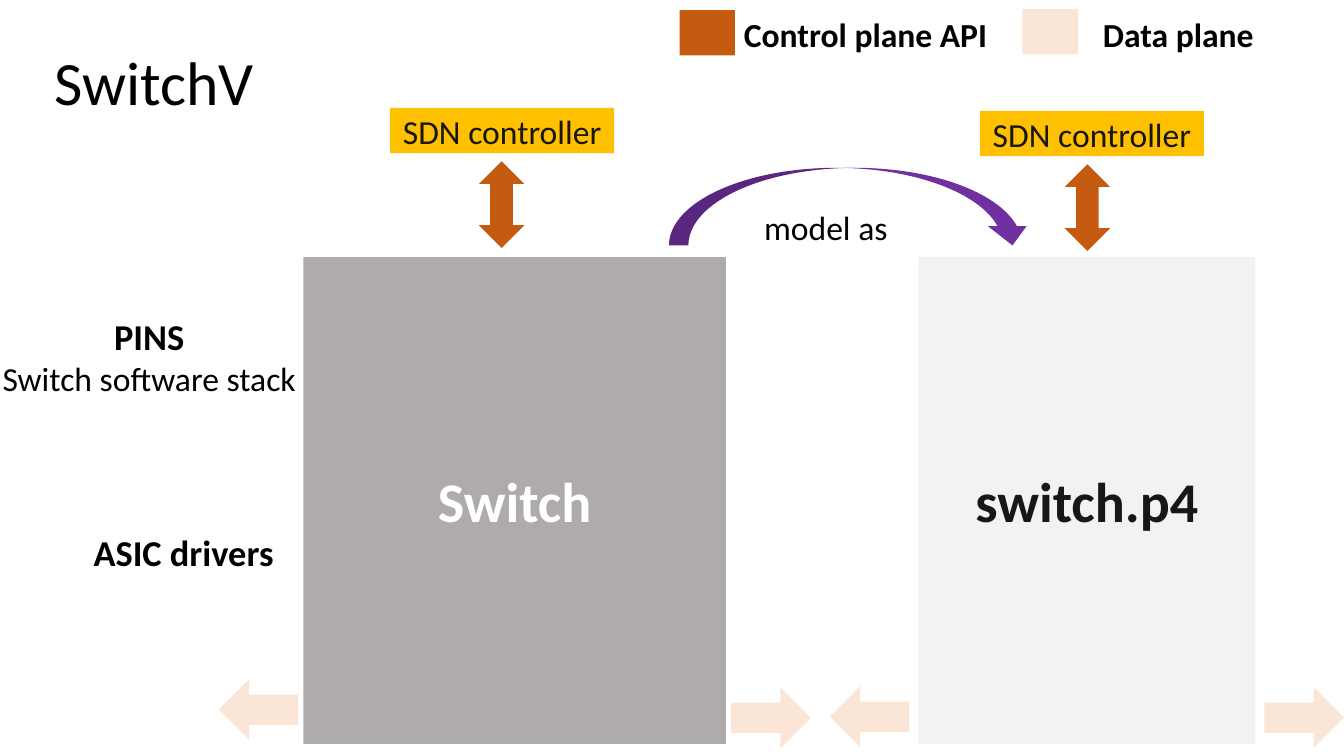
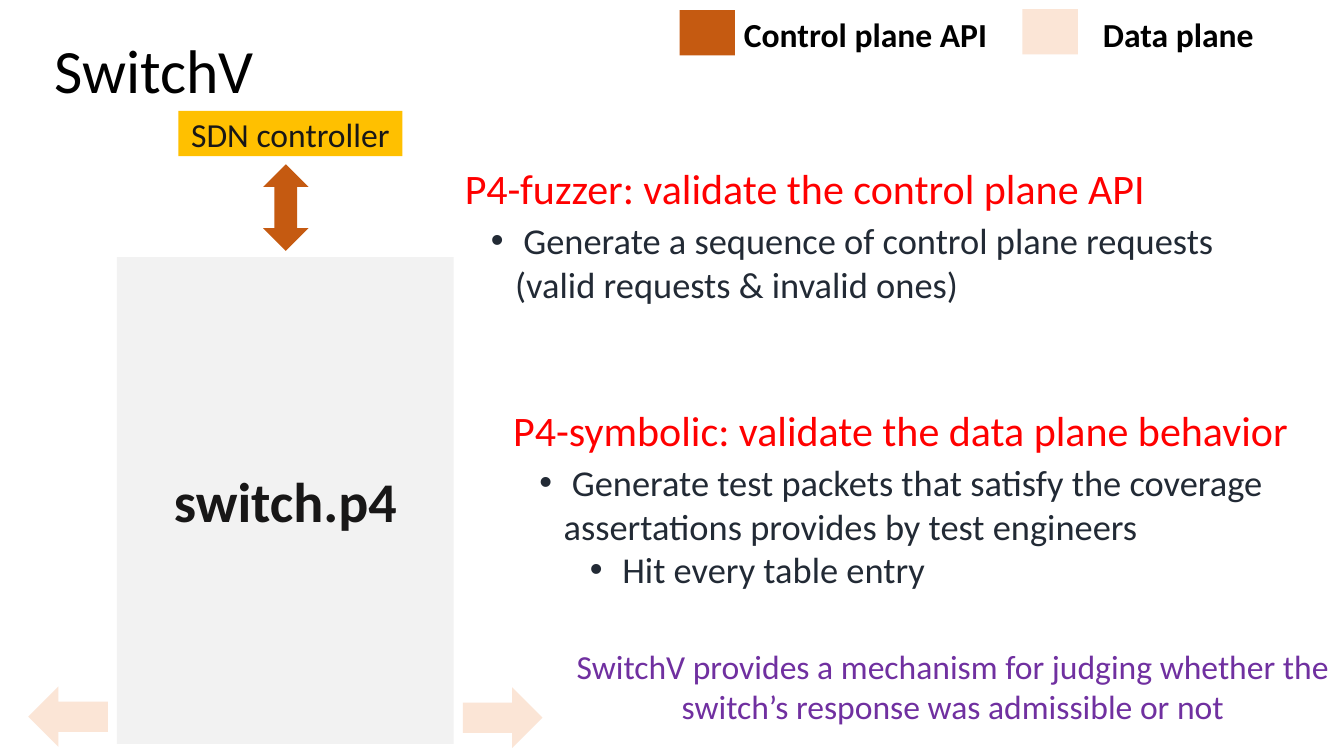
from lxml import etree
from pptx import Presentation
from pptx.dml.color import RGBColor
from pptx.enum.shapes import MSO_SHAPE
from pptx.enum.text import MSO_ANCHOR, MSO_AUTO_SIZE, PP_ALIGN
from pptx.oxml.ns import qn
from pptx.util import Inches, Pt

RECTANGLE = MSO_SHAPE.RECTANGLE
RIGHT_ARROW = MSO_SHAPE.RIGHT_ARROW
UP_DOWN_ARROW = MSO_SHAPE.UP_DOWN_ARROW
CURVED_LEFT_ARROW = MSO_SHAPE.CURVED_LEFT_ARROW
LEFT = PP_ALIGN.LEFT
CENTER = PP_ALIGN.CENTER
MIDDLE = MSO_ANCHOR.MIDDLE
TOP = MSO_ANCHOR.TOP
NO_AUTO_SIZE = MSO_AUTO_SIZE.NONE

TITLE_ONLY = 5
TWO_CONTENT = 3


def color(value):
    return RGBColor.from_string(value)


class Deck:
    FONT = "Calibri"
    BLACK = "000000"
    INK = "181717"
    WHITE = "FFFFFF"
    SWITCH_GRAY = "AFABAB"
    MODEL_GRAY = "F2F2F2"
    CONTROL = "C55A11"
    DATA = "FBE5D6"
    CONTROLLER = "FFC000"
    PURPLE = "7030A0"
    RED = "FF0000"
    NAVY = "222A35"

    def __init__(self):
        self.presentation = Presentation()
        self.presentation.slide_width = Inches(13.33)
        self.presentation.slide_height = Inches(7.5)
        self.slide = None

    def place(self, shape, left, top, width, height):
        shape.left, shape.top = Inches(left), Inches(top)
        shape.width, shape.height = Inches(width), Inches(height)

    def style(self, paragraph, size, text_color, bold=False, alignment=LEFT):
        paragraph.alignment = alignment
        font = paragraph.font
        font.name = self.FONT
        font.size = Pt(size)
        font.bold = bold
        font.color.rgb = color(text_color)

    def add_slide(self, layout, title, title_top):
        layouts = self.presentation.slide_layouts
        self.slide = self.presentation.slides.add_slide(layouts[layout])
        shape = self.slide.shapes.title
        self.place(shape, 0.44, title_top, 11.5, 1.45)
        frame = shape.text_frame
        frame.text = title
        frame.vertical_anchor = MIDDLE
        frame.auto_size = NO_AUTO_SIZE
        paragraph = frame.paragraphs[0]
        paragraph.line_spacing = 0.9
        self.style(paragraph, 44, self.BLACK)
        self.legend()

    def shape(self, kind, left, top, width, height, fill, rotation=0):
        shape = self.slide.shapes.add_shape(
            kind, Inches(left), Inches(top), Inches(width), Inches(height))
        shape.shadow.inherit = False
        shape.fill.solid()
        shape.fill.fore_color.rgb = color(fill)
        shape.line.fill.background()
        shape.rotation = rotation
        return shape

    def box(self, left, top, width, height, fill, text, size, text_color, bold=False):
        frame = self.shape(RECTANGLE, left, top, width, height, fill).text_frame
        frame.text = text
        frame.word_wrap = True
        frame.vertical_anchor = MIDDLE
        self.style(frame.paragraphs[0], size, text_color, bold, CENTER)

    def text(self, left, top, width, height, lines, text_color=BLACK, alignment=LEFT):
        shape = self.slide.shapes.add_textbox(
            Inches(left), Inches(top), Inches(width), Inches(height))
        frame = shape.text_frame
        frame.word_wrap = True
        frame.text = "\n".join(line for line, size, bold in lines)
        for paragraph, (line, size, bold) in zip(frame.paragraphs, lines):
            self.style(paragraph, size, text_color, bold, alignment)

    def bullet(self, paragraph, level):
        properties = paragraph._p.get_or_add_pPr()
        properties.set("marL", str(Inches(0.5 * level)))
        properties.set("indent", str(Inches(-0.24 if level else 0)))
        if level:
            etree.SubElement(properties, qn("a:buFont"), typeface="Arial")
            etree.SubElement(properties, qn("a:buChar"), char="•")
        else:
            etree.SubElement(properties, qn("a:buNone"))

    def bullet_list(self, index, left, top, height, heading, items):
        shape = self.slide.placeholders[index]
        self.place(shape, left, top, 8.21, height)
        frame = shape.text_frame
        frame.text = "\n".join([heading, *items])
        frame.vertical_anchor = TOP
        frame.auto_size = NO_AUTO_SIZE
        for level, paragraph in enumerate(frame.paragraphs):
            self.bullet(paragraph, level)
            paragraph.level = max(level - 1, 0)
            paragraph.space_before = Pt(4 if level == 1 else 0)
            if level:
                self.style(paragraph, 26, self.NAVY)
            else:
                self.style(paragraph, 30, self.RED)

    def legend(self):
        self.shape(RECTANGLE, 6.74, 0.1, 0.55, 0.45, self.CONTROL)
        self.shape(RECTANGLE, 10.14, 0.09, 0.55, 0.45, self.DATA)
        self.text(7.28, 0.09, 3.34, 0.5, [("Control plane API", 24, True)])
        self.text(10.84, 0.09, 2.07, 0.5, [("Data plane", 24, True)])

    def device(self, left, width, label, fill, label_color,
               controller_left, controller_top, control_left, gap, left_arrow_top):
        arrow_width = 0.79
        self.box(left, 2.55, width, 4.83, fill, label, 40, label_color, True)
        self.box(controller_left, controller_top, 2.22, 0.45,
                 self.CONTROLLER, "SDN controller", 24, self.INK)
        self.shape(UP_DOWN_ARROW, control_left, controller_top + 0.53,
                   0.45, 0.86, self.CONTROL)
        self.shape(RIGHT_ARROW, left - gap - arrow_width, left_arrow_top,
                   arrow_width, 0.6, self.DATA, 180)
        self.shape(RIGHT_ARROW, left + width + gap, 6.82, arrow_width, 0.6, self.DATA)

    def switch(self):
        self.device(3.01, 4.19, "Switch", self.SWITCH_GRAY, self.WHITE,
                    3.87, 1.07, 4.75, 0.05, 6.74)

    def model(self, left):
        self.device(left, 3.34, "switch.p4", self.MODEL_GRAY, self.INK,
                    left + 0.61, 1.1, left + 1.45, 0.09, 6.81)


def build_modeling_slide(deck):
    deck.add_slide(TITLE_ONLY, "SwitchV", 0.12)
    deck.switch()
    deck.model(9.11)
    deck.text(-0.18, 3.07, 3.32, 0.94,
              [("PINS", 26, True), ("Switch software stack", 24, False)],
              alignment=CENTER)
    deck.text(0.83, 5.21, 2, 0.54, [("ASIC drivers", 26, True)])
    deck.shape(CURVED_LEFT_ARROW, 8.05, 0.25, 0.77, 3.6, deck.PURPLE, 270)
    deck.text(7.48, 2, 2.07, 0.5, [("model as", 24, False)])


def build_validation_slide(deck):
    deck.add_slide(TWO_CONTENT, "SwitchV", 0)
    deck.model(1.16)
    deck.bullet_list(
        1, 4.51, 1.56, 1.55, "P4-fuzzer: validate the control plane API",
        [" Generate a sequence of control plane requests (valid requests & invalid ones)"])
    deck.bullet_list(
        2, 4.99, 3.96, 1.99, "P4-symbolic: validate the data plane behavior",
        [" Generate test packets that satisfy the coverage assertations provides by test engineers",
         " Hit every table entry"])
    deck.text(5.58, 6.36, 7.74, 0.91,
              [("SwitchV provides a mechanism for judging whether the "
                "switch’s response was admissible or not", 24, False)],
              deck.PURPLE, CENTER)


def main():
    deck = Deck()
    build_modeling_slide(deck)
    build_validation_slide(deck)
    deck.presentation.save("out.pptx")


if __name__ == "__main__":
    main()
